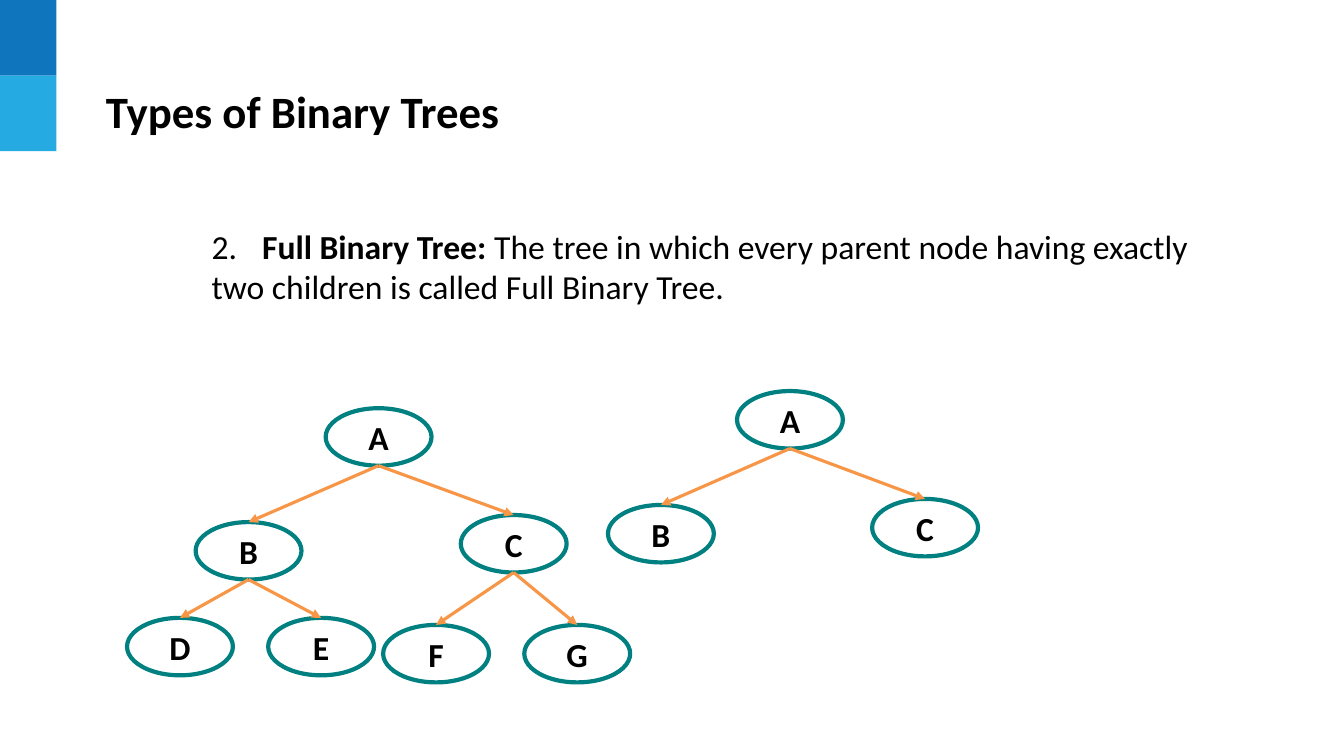
from lxml import etree
from pptx import Presentation
from pptx.dml.color import RGBColor
from pptx.enum.shapes import MSO_CONNECTOR, MSO_SHAPE
from pptx.enum.text import MSO_ANCHOR, MSO_AUTO_SIZE, PP_ALIGN
from pptx.oxml.ns import qn
from pptx.util import Inches, Pt

RECTANGLE, OVAL = MSO_SHAPE.RECTANGLE, MSO_SHAPE.OVAL
STRAIGHT = MSO_CONNECTOR.STRAIGHT
MIDDLE, TOP = MSO_ANCHOR.MIDDLE, MSO_ANCHOR.TOP
LEFT, CENTER = PP_ALIGN.LEFT, PP_ALIGN.CENTER
NO_FIT = MSO_AUTO_SIZE.NONE

COLOURS = {
    "dark bar": "0F75BD",
    "light bar": "25AAE2",
    "text": "000000",
    "node fill": "FFFFFF",
    "node line": "008080",
    "arrow": "F79646",
}
NODE_WIDTH, NODE_HEIGHT = 1.05, 0.57
BAR_WIDTH, BAR_HEIGHT = 0.56, 0.75


def colour(name):
    return RGBColor.from_string(COLOURS[name])


def format_span(span, size, bold):
    span.font.name = "Calibri"
    span.font.size = Pt(size)
    span.font.bold = bold
    span.font.color.rgb = colour("text")


deck = Presentation()
deck.slide_width, deck.slide_height = Inches(13.33), Inches(7.5)
page = deck.slides.add_slide(deck.slide_layouts[1])

# Corner bars
for row, name in enumerate(["dark bar", "light bar"]):
    bar = page.shapes.add_shape(RECTANGLE, 0, Inches(row * BAR_HEIGHT),
                                Inches(BAR_WIDTH), Inches(BAR_HEIGHT))
    bar.shadow.inherit = False
    bar.fill.solid()
    bar.fill.fore_color.rgb = colour(name)
    bar.line.fill.background()

# Title and definition
title, body = page.placeholders
for box, bounds, anchor in [(title, (0.95, 0.65, 8.75, 0.9), MIDDLE),
                            (body, (2, 2.14, 10.15, 1.01), TOP)]:
    box.left, box.top, box.width, box.height = map(Inches, bounds)
    box.text_frame.auto_size = NO_FIT
    box.text_frame.word_wrap = True
    box.text_frame.vertical_anchor = anchor

title.text_frame.text = "Types of Binary Trees"
heading = title.text_frame.paragraphs[0]
heading.alignment = LEFT
format_span(heading.runs[0], 32, True)

body.text_frame.margin_top = body.text_frame.margin_bottom = Inches(0.1)
definition = body.text_frame.paragraphs[0]
properties = definition._p.get_or_add_pPr()
properties.set("marL", "0")
properties.set("indent", "0")
etree.SubElement(properties, qn("a:buNone"))
tabs = etree.SubElement(properties, qn("a:tabLst"))
etree.SubElement(tabs, qn("a:tab"), pos=str(Inches(0.48)), algn="l")
definition.space_before = Pt(0)
for text, bold in [
    ("2.\t", False),
    ("Full Binary Tree:", True),
    (" The tree in which every parent node having exactly two children"
     " is called Full Binary Tree.", False),
]:
    span = definition.add_run()
    span.text = text
    format_span(span, 24, bold)

# Each tree lists label: (left, top, parent), parents first
trees = [
    {"A": (3.23, 4.05, None), "B": (1.94, 5.18, "A"), "C": (4.57, 5.11, "A"),
     "D": (1.26, 6.13, "B"), "E": (2.66, 6.13, "B"),
     "F": (3.8, 6.2, "C"), "G": (5.2, 6.2, "C")},
    {"A": (7.31, 3.88, None), "B": (6.03, 5.01, "A"), "C": (8.65, 4.95, "A")},
]
for tree in trees:
    nodes = {}
    for label, (left, top, parent_label) in tree.items():
        node = page.shapes.add_shape(OVAL, Inches(left), Inches(top),
                                     Inches(NODE_WIDTH), Inches(NODE_HEIGHT))
        nodes[label] = node
        node.shadow.inherit = False
        if parent_label is None:
            node.fill.solid()
            node.fill.fore_color.rgb = colour("node fill")
        else:
            node.fill.background()
        node.line.color.rgb = colour("node line")
        node.line.width = Pt(3)
        node.text_frame.text = label
        node.text_frame.vertical_anchor = MIDDLE
        para = node.text_frame.paragraphs[0]
        para.alignment = CENTER
        format_span(para.runs[0], 24, True)

        if parent_label is None:
            continue
        parent = nodes[parent_label]
        arrow = page.shapes.add_connector(
            STRAIGHT, parent.left + parent.width // 2,
            parent.top + parent.height, node.left + node.width // 2, node.top)
        arrow.end_connect(node, 0)
        arrow.line.color.rgb = colour("arrow")
        arrow.line.width = Pt(2.25)
        etree.SubElement(arrow.line._get_or_add_ln(), qn("a:tailEnd"), type="triangle")
        etree.SubElement(arrow._element.spPr, qn("a:effectLst"))

deck.save("out.pptx")
